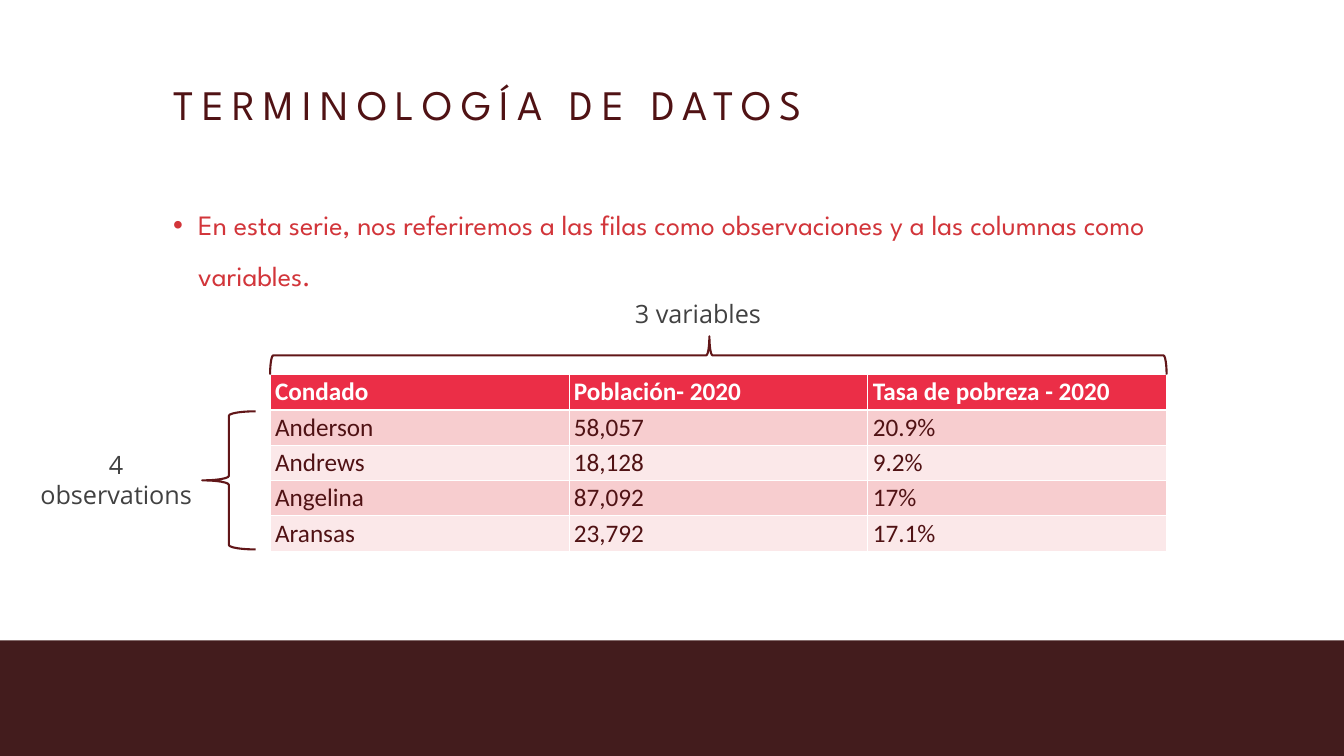
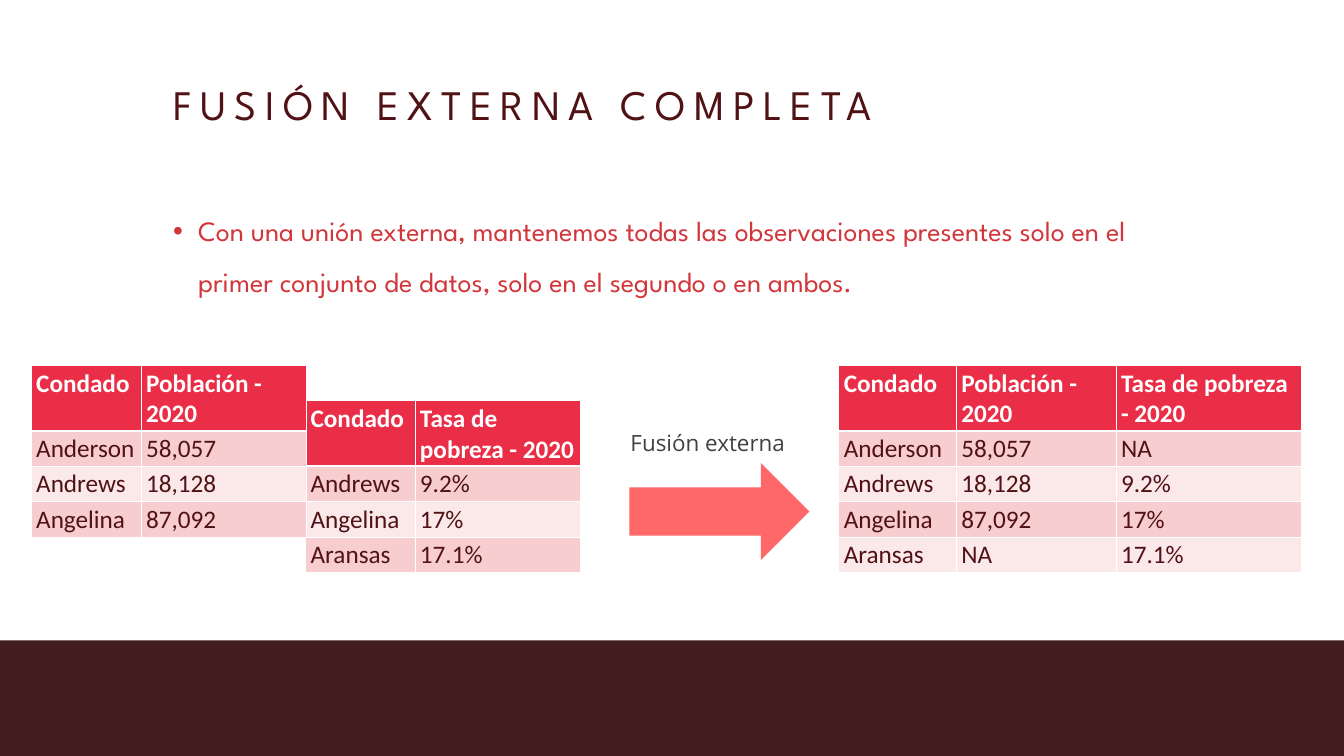
"""Builds two slides on data terminology and the full outer merge."""
from dataclasses import dataclass

from lxml.etree import SubElement
from pptx import Presentation
from pptx.dml.color import RGBColor
from pptx.enum.shapes import MSO_SHAPE as Shape
from pptx.enum.text import MSO_ANCHOR as Anchor, PP_ALIGN as Align
from pptx.oxml.ns import qn
from pptx.util import Cm, Pt


@dataclass(frozen=True)
class Theme:
    band: str = "431C1D"
    title: str = "501214"
    body: str = "D2353A"
    label: str = "414141"
    brace: str = "611618"
    arrow: str = "FE6869"
    header: str = "EB2E47"
    stripes: tuple[str, str] = ("F7CDCF", "FBE8E9")
    white: str = "FFFFFF"
    heading_font: str = "League Spartan"
    label_font: str = "Open Sans"
    table_font: str = "Calibri"
    title_size: int = 60
    body_size: int = 40
    label_size: int = 36
    small_label_size: int = 32
    table_size: int = 36


@dataclass(frozen=True)
class Box:
    x: float
    y: float
    w: float
    h: float

    def emu(self) -> tuple:
        return Cm(self.x), Cm(self.y), Cm(self.w), Cm(self.h)


@dataclass(frozen=True)
class DataTable:
    x: float
    y: float
    widths: tuple[float, ...]
    rows: tuple[tuple[str, ...], ...]
    header_height: float = 3.3
    row_height: float = 1.78


THEME = Theme()
SLIDE_W, SLIDE_H = 67.73, 38.1
BAND_TOP = 32.28
TEXT_X, TEXT_W = 8.47, 50.8
BODY_BOTTOM = 28.22
BULLET_INDENT = 1.27
COUNTY, POPULATION, POVERTY = "Condado", "Población - 2020", "Tasa de pobreza - 2020"

TERMS_TABLE = DataTable(13.61, 18.87, (15.06,) * 3, (
    (COUNTY, "Población- 2020", POVERTY),
    ("Anderson", "58,057", "20.9%"),
    ("Andrews", "18,128", "9.2%"),
    ("Angelina", "87,092", "17%"),
    ("Aransas", "23,792", "17.1%"),
), header_height=1.78)

MERGE_TABLES = (
    DataTable(42.27, 18.42, (5.92, 8.05, 9.32), (
        (COUNTY, POPULATION, POVERTY),
        ("Anderson", "58,057", "NA"),
        ("Andrews", "18,128", "9.2%"),
        ("Angelina", "87,092", "17%"),
        ("Aransas", "NA", "17.1%"),
    )),
    DataTable(15.4, 20.19, (5.51, 8.34), (
        (COUNTY, POVERTY),
        ("Andrews", "9.2%"),
        ("Angelina", "17%"),
        ("Aransas", "17.1%"),
    )),
    DataTable(1.57, 18.42, (5.54, 8.31), (
        (COUNTY, POPULATION),
        ("Anderson", "58,057"),
        ("Andrews", "18,128"),
        ("Angelina", "87,092"),
    )),
)


def write(tf, text: str, *, font: str, size: int, color: str, bold: bool = False,
          align=Align.LEFT, line: float = 1.0, tracking: int = 0, bullet: bool = False) -> None:
    p = tf.paragraphs[0]
    p.alignment = align
    p.line_spacing = line
    if bullet:
        pPr = p._p.get_or_add_pPr()
        pPr.set("marL", str(Cm(BULLET_INDENT)))
        pPr.set("indent", str(-Cm(BULLET_INDENT)))
        SubElement(pPr, qn("a:buFont"), typeface="Arial")
        SubElement(pPr, qn("a:buChar"), char="•")
    r = p.add_run()
    r.text = text
    r.font.name, r.font.size, r.font.bold = font, Pt(size), bold
    r.font.color.rgb = RGBColor.from_string(color)
    if tracking:
        r._r.get_or_add_rPr().set("spc", str(tracking * 100))


def add_text(s, box: Box, text: str, *, anchor=Anchor.TOP, **style) -> None:
    tf = s.shapes.add_textbox(*box.emu()).text_frame
    tf.word_wrap = True
    tf.vertical_anchor = anchor
    write(tf, text, **style)


def add_label(s, box: Box, text: str, size: int = THEME.label_size) -> None:
    add_text(s, box, text, font=THEME.label_font, size=size, color=THEME.label,
             align=Align.CENTER)


def add_filled(s, kind: Shape, box: Box, color: str) -> None:
    sp = s.shapes.add_shape(kind, *box.emu())
    sp.shadow.inherit = False
    sp.fill.solid()
    sp.fill.fore_color.rgb = RGBColor.from_string(color)
    sp.line.fill.background()


def add_brace(s, box: Box, rotation: float = 0, tip: float = 0.5) -> None:
    sp = s.shapes.add_shape(Shape.LEFT_BRACE, *box.emu())
    sp.shadow.inherit = False
    sp.fill.background()
    sp.line.color.rgb = RGBColor.from_string(THEME.brace)
    sp.line.width = Pt(3)
    sp.rotation = rotation
    sp.adjustments[1] = tip


def add_borders(cell, row: int) -> None:
    tcPr = cell._tc.get_or_add_tcPr()
    widths = {"lnL": 1, "lnR": 1, "lnT": 3 if row == 1 else 1, "lnB": 3 if row == 0 else 1}
    for side, width in widths.items():
        ln = SubElement(tcPr, qn(f"a:{side}"), w=str(Pt(width)))
        SubElement(SubElement(ln, qn("a:solidFill")), qn("a:srgbClr"), val=THEME.white)


def add_data_table(s, data: DataTable) -> None:
    heights = [data.header_height] + [data.row_height] * (len(data.rows) - 1)
    box = Box(data.x, data.y, sum(data.widths), sum(heights))
    table = s.shapes.add_table(len(heights), len(data.widths), *box.emu()).table
    for column, width in zip(table.columns, data.widths):
        column.width = Cm(width)
    for i, (values, height) in enumerate(zip(data.rows, heights)):
        table.rows[i].height = Cm(height)
        is_header = i == 0
        fill = THEME.header if is_header else THEME.stripes[(i - 1) % 2]
        for j, value in enumerate(values):
            cell = table.cell(i, j)
            add_borders(cell, i)
            cell.fill.solid()
            cell.fill.fore_color.rgb = RGBColor.from_string(fill)
            write(cell.text_frame, value, font=THEME.table_font, size=THEME.table_size,
                  color=THEME.white if is_header else THEME.title, bold=is_header)


def add_base(prs, title: str, body: str, body_top: float):
    s = prs.slides.add_slide(prs.slide_layouts[6])
    add_filled(s, Shape.RECTANGLE, Box(0, BAND_TOP, SLIDE_W, SLIDE_H - BAND_TOP), THEME.band)
    add_text(s, Box(TEXT_X, 3.81, TEXT_W, 3.18), title, anchor=Anchor.MIDDLE,
             font=THEME.heading_font, size=THEME.title_size, color=THEME.title,
             line=0.9, tracking=12)
    add_text(s, Box(TEXT_X, body_top, TEXT_W, BODY_BOTTOM - body_top), body,
             font=THEME.heading_font, size=THEME.body_size, color=THEME.body,
             line=1.5, bullet=True)
    return s


def add_terms_slide(prs) -> None:
    s = add_base(prs, "TERMINOLOGÍA DE DATOS",
                 "En esta serie, nos referiremos a las filas como observaciones "
                 "y a las columnas como variables.", 9.5)
    add_data_table(s, TERMS_TABLE)
    add_brace(s, Box(10.19, 20.73, 2.69, 6.96))
    add_label(s, Box(1.37, 22.53, 8.97, 3.33), "4 observations")
    span, depth, center_y = sum(TERMS_TABLE.widths), 1.93, 17.91
    center_x = TERMS_TABLE.x + span / 2
    add_brace(s, Box(center_x - depth / 2, center_y - span / 2, depth, span),
              rotation=90, tip=0.51)
    add_label(s, Box(28.14, 14.91, 14.07, 1.8), "3 variables")


def add_merge_slide(prs) -> None:
    s = add_base(prs, "FUSIÓN EXTERNA COMPLETA",
                 "Con una unión externa, mantenemos todas las observaciones presentes "
                 "solo en el primer conjunto de datos, solo en el segundo o en ambos.", 9.8)
    for data in MERGE_TABLES:
        add_data_table(s, data)
    add_filled(s, Shape.RIGHT_ARROW, Box(31.72, 23.34, 9.07, 4.88), THEME.arrow)
    add_label(s, Box(30.73, 21.51, 9.88, 1.63), "Fusión externa", THEME.small_label_size)


def main() -> None:
    prs = Presentation()
    prs.slide_width, prs.slide_height = Cm(SLIDE_W), Cm(SLIDE_H)
    add_terms_slide(prs)
    add_merge_slide(prs)
    prs.save("out.pptx")


if __name__ == "__main__":
    main()
